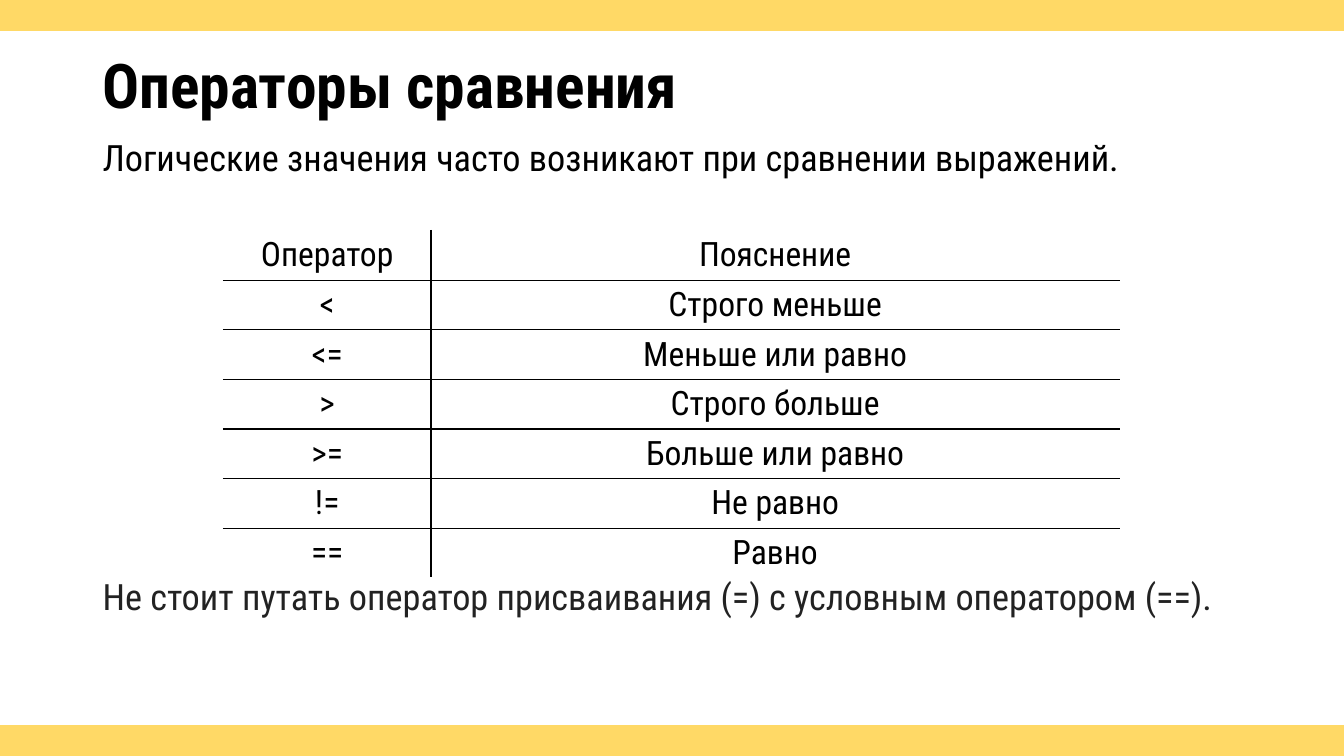
from pptx import Presentation
from pptx.dml.color import RGBColor
from pptx.enum import shapes, text
from pptx.oxml import parse_xml
from pptx.oxml.ns import nsdecls
from pptx.util import Cm, Pt

FACE = "Roboto Condensed"
BLACK, WHITE, GOLD, GREY = "000000", "FFFFFF", "FFD966", "222222"


def paint(target, shade):
    """Give a font, or the fill of a shape or cell, a solid colour."""
    if hasattr(target, "fill"):
        target = target.fill
        target.solid()
        target.fore_color.rgb = RGBColor.from_string(shade)
    else:
        target.color.rgb = RGBColor.from_string(shade)


def style(par, size, shade, align, bold=False):
    """Set font and alignment of one paragraph."""
    par.alignment = align
    par.font.name, par.font.size, par.font.bold = FACE, Pt(size), bold
    par.font.fill.solid()
    par.font.fill.fore_color.rgb = RGBColor.from_string(shade)


deck = Presentation()
deck.slide_width, deck.slide_height = Cm(33.87), Cm(19.05)
slide = deck.slides.add_slide(deck.slide_layouts[1])
ALIGN = text.PP_ALIGN

# Title
title = slide.shapes.title
title.left, title.top, title.width, title.height = Cm(2.33), Cm(0.38), Cm(29.21), Cm(3.68)
frame = title.text_frame
frame.text = "Операторы сравнения"
frame.auto_size = text.MSO_AUTO_SIZE.NONE
frame.vertical_anchor = text.MSO_ANCHOR.MIDDLE
head = frame.paragraphs[0]
head.line_spacing = 0.9
style(head, 44, BLACK, ALIGN.LEFT, True)

# Body: the second line stands below the table
body = slide.placeholders[1]
body.left, body.top, body.width, body.height = Cm(2.33), Cm(3.48), Cm(29.21), Cm(14.55)
frame = body.text_frame
frame.auto_size = text.MSO_AUTO_SIZE.NONE
frame.vertical_anchor = text.MSO_ANCHOR.TOP
lines = [
    ("Логические значения часто возникают при сравнении выражений.", 10, BLACK),
    ("Не стоит путать оператор присваивания (=) с условным оператором (==).", 289, GREY),
]
frame.text = "\n".join(line[0] for line in lines)
for par, (_, gap, shade) in zip(frame.paragraphs, lines):
    style(par, 25.9, shade, ALIGN.JUSTIFY)
    par.line_spacing, par.space_before = 0.8, Pt(gap)
    props = par._p.get_or_add_pPr()
    props.set("marL", "0")
    props.set("indent", "0")
    props.insert_element_before(
        parse_xml(f"<a:buNone {nsdecls('a')}/>"), "a:tabLst", "a:defRPr", "a:extLst")

# Table of operators
rows = [
    ("Оператор", "Пояснение"),
    ("<", "Строго меньше"),
    ("<=", "Меньше или равно"),
    (">", "Строго больше"),
    (">=", "Больше или равно"),
    ("!=", "Не равно"),
    ("==", "Равно"),
]
high = Cm(1.25)
table = slide.shapes.add_table(
    len(rows), 2, Cm(5.63), Cm(5.81), Cm(22.58), high * len(rows)).table
table.first_row = table.horz_banding = False
table.columns[0].width, table.columns[1].width = Cm(5.23), Cm(17.35)
for r, row in enumerate(rows):
    table.rows[r].height = high
    for c, word in enumerate(row):
        cell = table.cell(r, c)
        cell.text = word
        paint(cell, WHITE)
        style(cell.text_frame.paragraphs[0], 24, BLACK, ALIGN.CENTER)
        # Inner borders are black, outer ones white
        outer = {"L": c == 0, "R": c == 1, "T": r == 0, "B": r == len(rows) - 1}
        props = cell._tc.get_or_add_tcPr()
        for spot, (side, edge) in enumerate(outer.items()):
            shade = WHITE if edge else BLACK
            props.insert(spot, parse_xml(
                f'<a:ln{side} {nsdecls("a")} w="12700"><a:solidFill>'
                f'<a:srgbClr val="{shade}"/></a:solidFill></a:ln{side}>'))

# Bands at the bottom and top edges
for top in (18.29, 0):
    band = slide.shapes.add_shape(
        shapes.MSO_SHAPE.RECTANGLE, 0, Cm(top), deck.slide_width, Cm(0.76))
    band.shadow.inherit = False
    paint(band, GOLD)
    paint(band.line, GOLD)
    band.line.width = Pt(1)

deck.save("out.pptx")
